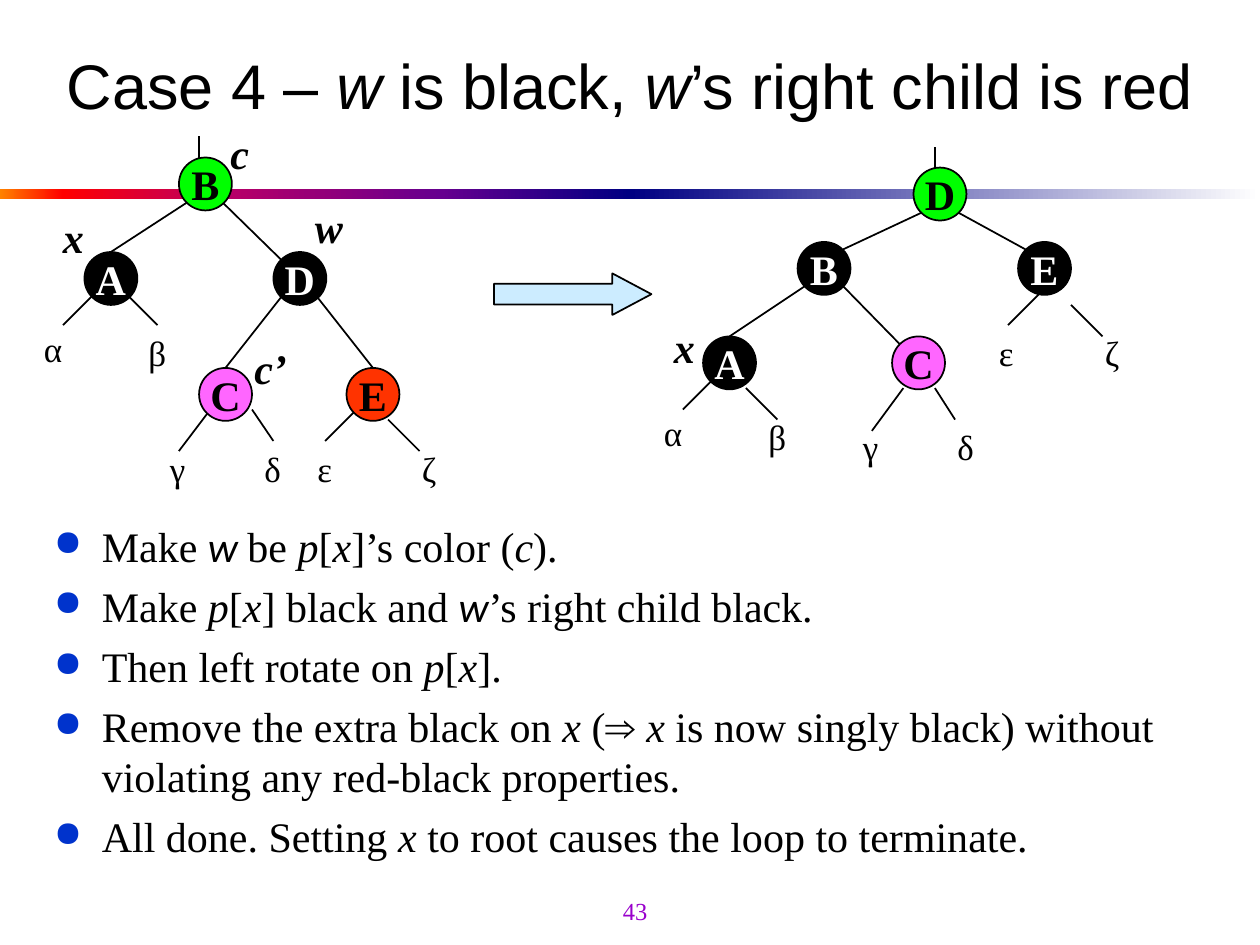
from lxml import etree
from pptx import Presentation
from pptx.dml.color import RGBColor
from pptx.enum.shapes import MSO_CONNECTOR, MSO_SHAPE
from pptx.enum.text import MSO_ANCHOR, PP_ALIGN
from pptx.oxml.ns import qn
from pptx.util import Inches, Pt

LINE, OVAL = MSO_CONNECTOR.STRAIGHT, MSO_SHAPE.OVAL
RECT, ARROW = MSO_SHAPE.RECTANGLE, MSO_SHAPE.RIGHT_ARROW
MIDDLE, CENTER, LEFT = MSO_ANCHOR.MIDDLE, PP_ALIGN.CENTER, PP_ALIGN.LEFT
BLACK = RGBColor(0x00, 0x00, 0x00)
WHITE = RGBColor(0xFF, 0xFF, 0xFF)
GREEN = RGBColor(0x00, 0xFF, 0x00)
PINK = RGBColor(0xFF, 0x66, 0xFF)
RED = RGBColor(0xFF, 0x33, 0x00)
SKY = RGBColor(0xCC, 0xEC, 0xFF)
PURPLE = RGBColor(0x99, 0x00, 0xCC)
SERIF = "Times New Roman"

deck = Presentation()
deck.slide_width, deck.slide_height = Inches(10), Inches(7.5)
slide = deck.slides.add_slide(deck.slide_layouts[6])
shapes = slide.shapes


def write(para, text, size, color=BLACK, font=SERIF, bold=False):
    """Fill a paragraph; parts between asterisks are italic."""
    for i, part in enumerate(text.split("*")):
        if part:
            run = para.add_run()
            run.text = part
            run.font.size, run.font.name = Pt(size), font
            run.font.bold, run.font.italic = bold, i % 2 == 1
            run.font.color.rgb = color


def add_box(x, y, w, h, wrap=False, align=LEFT):
    """Add a text box and return its text frame."""
    frame = shapes.add_textbox(Inches(x), Inches(y), Inches(w), Inches(h)).text_frame
    frame.word_wrap = wrap
    frame.paragraphs[0].alignment = align
    return frame


# Gradient rule
RULES = [
    (0, [(0, "FF8200"), (10, "FF0000"), (35, "BA0066"), (70, "66008F"), (100, "000082")]),
    (5, [(0, "000082"), (100, "FFFFFF")]),
]
for x, stops in RULES:
    bar = shapes.add_shape(RECT, Inches(x), Inches(1.5), Inches(5), Inches(0.08))
    bar.shadow.inherit = False
    bar.line.fill.background()
    bar.fill.gradient()
    bar.fill.gradient_angle = 0
    group = bar.fill._xPr.find(qn("a:gradFill")).find(qn("a:gsLst"))
    for old in list(group):
        group.remove(old)
    for pos, color in stops:
        stop = etree.SubElement(group, qn("a:gs"), pos=str(pos * 1000))
        etree.SubElement(stop, qn("a:srgbClr"), val=color)

# Title
frame = add_box(0, 0.17, 10, 1, True, CENTER)
frame.vertical_anchor = MIDDLE
write(frame.paragraphs[0], "Case 4 – *w* is black, *w*’s right child is red", 36, font="Arial")

# Bullets
STEPS = [
    "Make *w *be *p*[*x*]’s color (*c*).",
    "Make *p*[*x*] black and *w*’s right child black.",
    "Then left rotate on *p*[*x*].",
    "Remove the extra black on *x *(⇒ *x *is now singly black) "
    "without violating any red-black properties.",
    "All done. Setting *x *to root causes the loop to terminate.",
]
frame = add_box(0.33, 4.08, 9.25, 2.83, True)
for i, step in enumerate(STEPS):
    para = frame.add_paragraph() if i else frame.paragraphs[0]
    para.space_before = Pt(5.5 if i else 0)
    props = para._p.get_or_add_pPr()
    props.set("marL", str(Inches(0.38)))
    props.set("indent", str(-Inches(0.38)))
    tint = etree.SubElement(props, qn("a:buClr"))
    etree.SubElement(tint, qn("a:srgbClr"), val="0033CC")
    etree.SubElement(props, qn("a:buSzPct"), val="85000")
    etree.SubElement(props, qn("a:buChar"), char="●")
    write(para, step, 24)
    for run in para.runs:
        if run.text.strip() == "w":
            run.font.name = "Calibri"

# Tree edges: x1, y1, x2, y2
EDGES = [
    # before: root stem, branches, subtree stubs
    (1.58, 1.08, 1.58, 1.25),
    (1.48, 1.61, 0.88, 2), (1.77, 1.61, 2.23, 2.06),
    (2.23, 2.36, 1.79, 2.92), (2.52, 2.36, 2.96, 2.92),
    (0.75, 2.33, 0.5, 2.58), (1, 2.33, 1.25, 2.58),
    (1.67, 3.25, 1.42, 3.58), (2, 3.25, 2.17, 3.5),
    (2.83, 3.25, 2.58, 3.5), (3.08, 3.33, 3.33, 3.58),
    # after: root stem, branches, subtree stubs
    (7.42, 1.17, 7.42, 1.33),
    (7.31, 1.69, 6.69, 1.98), (7.61, 1.69, 8.14, 1.98),
    (6.39, 2.27, 5.79, 2.67), (6.69, 2.27, 7.14, 2.73),
    (5.67, 3, 5.42, 3.25), (5.92, 3.08, 6.17, 3.33),
    (7.17, 3.08, 6.92, 3.42), (7.42, 3.08, 7.58, 3.33),
    (8.25, 2.33, 8, 2.58), (8.5, 2.42, 8.75, 2.67),
]
for ends in EDGES:
    edge = shapes.add_connector(LINE, *[Inches(v) for v in ends])
    edge.line.color.rgb, edge.line.width = BLACK, Pt(1)
    etree.SubElement(edge._element.spPr, qn("a:effectLst"))

# Tree nodes: name, left, top, fill
NODES = [
    ("B", 1.42, 1.25, GREEN), ("A", 0.67, 2, BLACK), ("D", 2.17, 2, BLACK),
    ("C", 1.58, 2.92, PINK), ("E", 2.75, 2.92, RED),
    ("D", 7.25, 1.33, GREEN), ("B", 6.33, 1.92, BLACK), ("E", 8.08, 1.92, BLACK),
    ("A", 5.58, 2.67, BLACK), ("C", 7.08, 2.67, PINK),
]
for name, x, y, color in NODES:
    node = shapes.add_shape(OVAL, Inches(x), Inches(y), Inches(0.42), Inches(0.42))
    node.shadow.inherit = False
    node.fill.solid()
    node.fill.fore_color.rgb = color
    node.line.color.rgb, node.line.width = BLACK, Pt(1)
    frame = node.text_frame
    frame.word_wrap, frame.vertical_anchor = False, MIDDLE
    frame.paragraphs[0].alignment = CENTER
    write(frame.paragraphs[0], name, 24, WHITE if color == BLACK else BLACK, bold=True)

# Subtree labels
LEAVES = [
    ("α", 0.25, 2.55, 0.38), ("β", 1.08, 2.58, 0.35), ("γ", 1.25, 3.5, 0.32),
    ("δ", 2, 3.5, 0.34), ("ε", 2.42, 3.5, 0.32), ("ζ", 3.25, 3.5, 0.34),
    ("α", 5.17, 3.22, 0.38), ("β", 6, 3.25, 0.35), ("γ", 6.75, 3.33, 0.32),
    ("δ", 7.5, 3.33, 0.34), ("ε", 7.83, 2.58, 0.32), ("ζ", 8.67, 2.58, 0.34),
]
for name, x, y, w in LEAVES:
    write(add_box(x, y, w, 0.43).paragraphs[0], name, 20)

# Pointer and colour labels
MARKS = [
    ("x", 0.4, 1.63, 0.37), ("w", 2.4, 1.55, 0.42), ("x", 5.25, 2.5, 0.37),
    ("c", 1.73, 0.96, 0.35), ("c’", 1.92, 2.67, 0.46),
]
for name, x, y, w in MARKS:
    write(add_box(x, y, w, 0.5).paragraphs[0], f"*{name}*", 24, bold=True)

# Arrow from before to after
arrow = shapes.add_shape(ARROW, Inches(3.92), Inches(2.17), Inches(1.25), Inches(0.33))
arrow.shadow.inherit = False
arrow.adjustments[0], arrow.adjustments[1] = 0.5, 0.94
arrow.fill.solid()
arrow.fill.fore_color.rgb = SKY
arrow.line.color.rgb, arrow.line.width = BLACK, Pt(1)

# Page number
frame = add_box(4, 6.98, 2.08, 0.5, align=CENTER)
frame.vertical_anchor = MIDDLE
write(frame.paragraphs[0], "43", 14, PURPLE)

deck.save("out.pptx")
